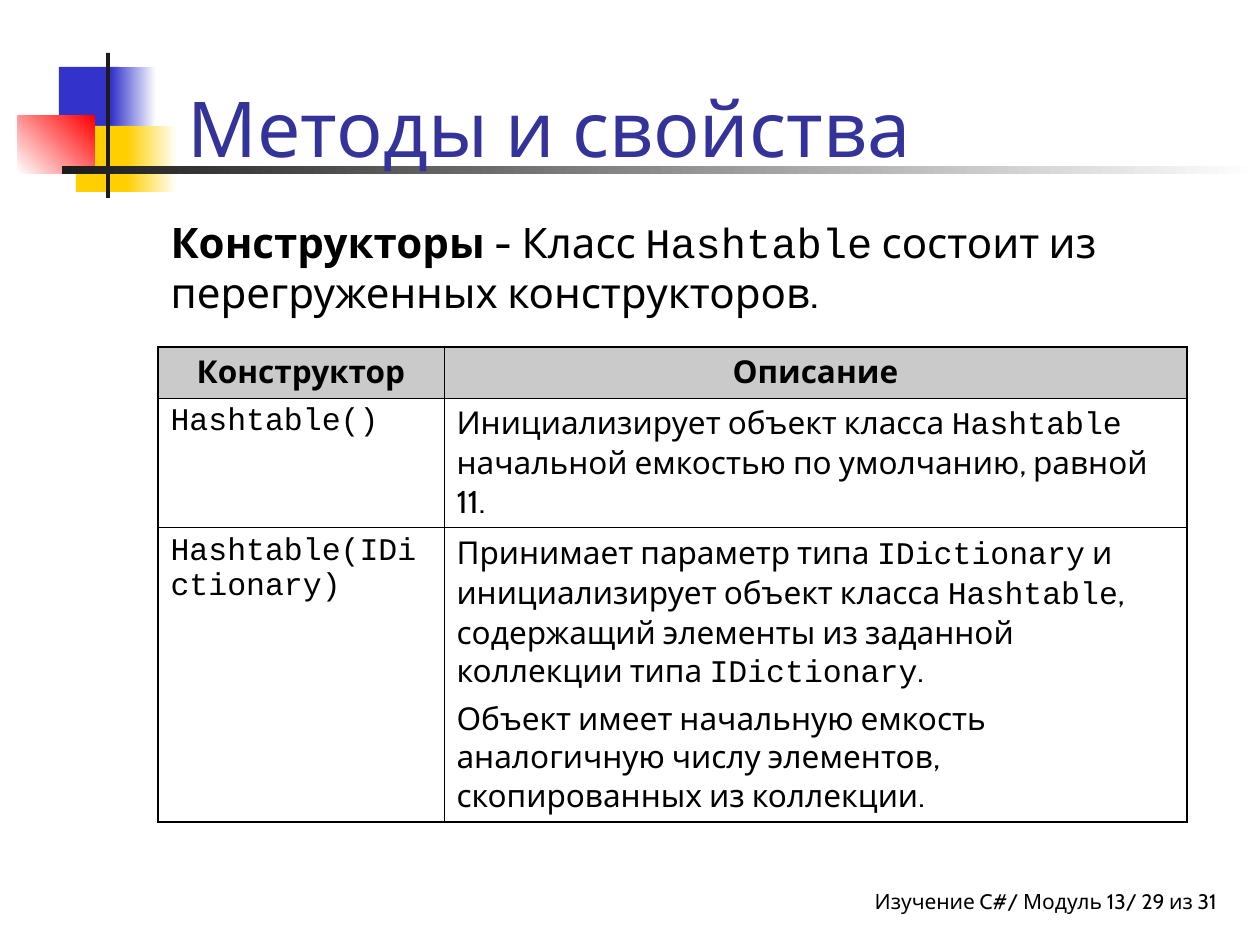
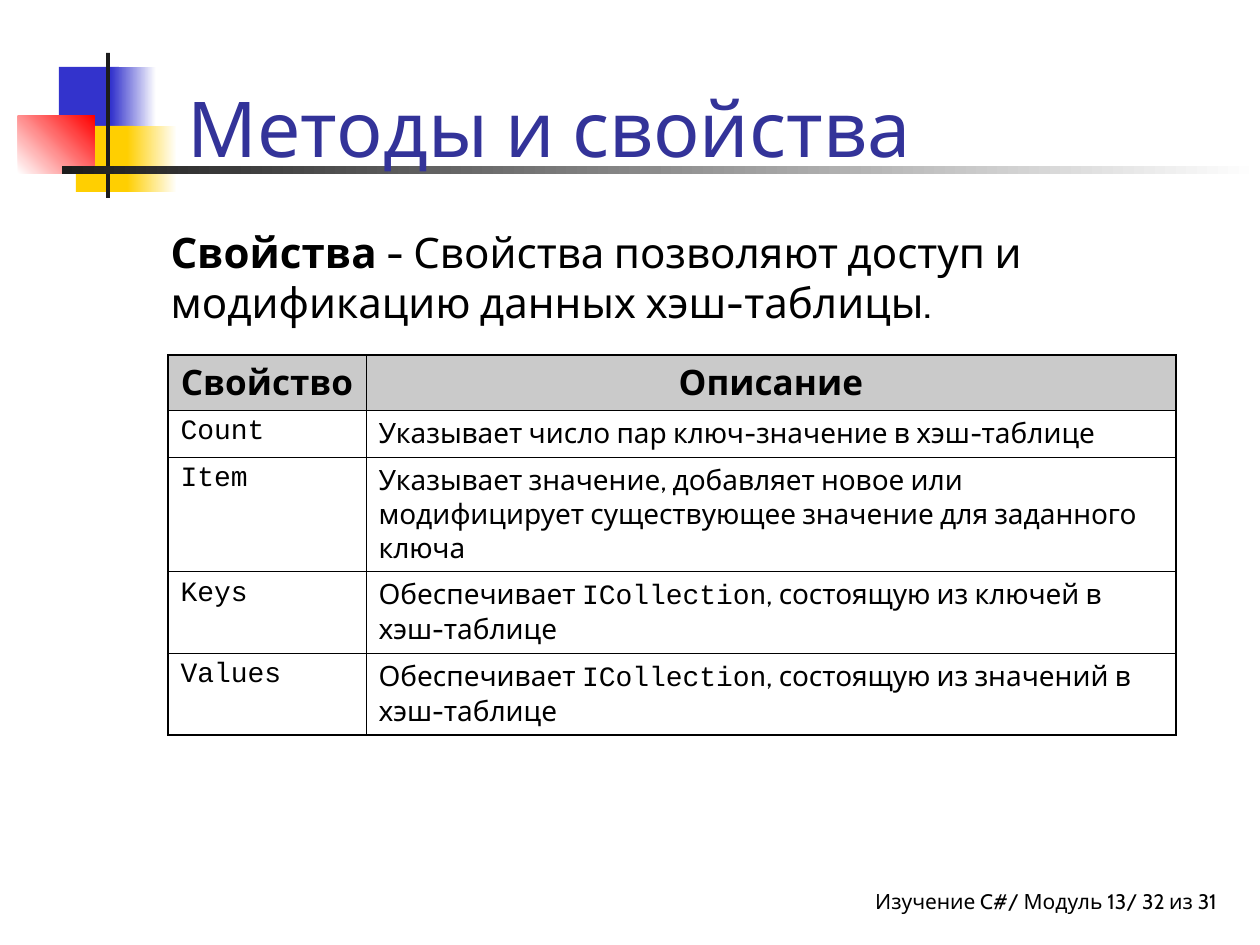
from lxml import etree
from pptx import Presentation
from pptx.dml.color import RGBColor
from pptx.enum.shapes import MSO_SHAPE
from pptx.enum.text import MSO_ANCHOR, MSO_AUTO_SIZE, PP_ALIGN
from pptx.oxml.ns import qn
from pptx.util import Pt

RECTANGLE = MSO_SHAPE.RECTANGLE
LEFT, CENTER, RIGHT = PP_ALIGN.LEFT, PP_ALIGN.CENTER, PP_ALIGN.RIGHT
BOTTOM, TOP = MSO_ANCHOR.BOTTOM, MSO_ANCHOR.TOP
NO_AUTOFIT = MSO_AUTO_SIZE.NONE

BLACK = RGBColor(0x00, 0x00, 0x00)
WHITE = RGBColor(0xFF, 0xFF, 0xFF)
CHARCOAL = RGBColor(0x1C, 0x1C, 0x1C)
BLUE = RGBColor(0x33, 0x33, 0xCC)
YELLOW = RGBColor(0xFF, 0xCF, 0x01)
RED = RGBColor(0xFF, 0x00, 0x00)
TITLE_BLUE = RGBColor(0x33, 0x33, 0x99)
HEADER_GRAY = RGBColor(0xCA, 0xCA, 0xCA)

TEXT_FONT, CODE_FONT = "Cabin", "Courier New"
PX = 914400 // 126
OUTER_BORDER, INNER_BORDER = Pt(1.08), Pt(0.45)

# Content: backticks enclose code, a line break starts a new paragraph
TITLE = "Методы и свойства"
FOOTER = "Изучение C#/ Модуль 13/ {} из 31"
SLIDES = [
    {
        "number": 29,
        "lead": "Конструкторы",
        "text": " - Класс `Hashtable` состоит из перегруженных конструкторов.",
        "body_box": (158, 210, 1071, 640),
        "table_at": (158, 347),
        "columns": (286, 743),
        "row_heights": (51, 129, 294),
        "header_size": 18,
        "cell_size": 18,
        "rows": [
            ("Конструктор", "Описание"),
            ("`Hashtable()`",
             "Инициализирует объект класса `Hashtable` начальной емкостью по умолчанию, равной 11."),
            ("`Hashtable(IDictionary)`",
             "Принимает параметр типа `IDictionary` и инициализирует объект класса `Hashtable`, "
             "содержащий элементы из заданной коллекции типа `IDictionary`.\n"
             "Объект имеет начальную емкость аналогичную числу элементов, скопированных из коллекции."),
        ],
    },
    {
        "number": 32,
        "lead": "Свойства",
        "text": " - Свойства позволяют доступ и модификацию данных хэш-таблицы.",
        "body_box": (158, 220, 1050, 640),
        "table_at": (168, 355),
        "columns": (198, 810),
        "row_heights": (55, 47, 114, 82, 82),
        "header_size": 20,
        "cell_size": 16,
        "rows": [
            ("Свойство", "Описание"),
            ("`Count`", "Указывает число пар ключ-значение в хэш-таблице"),
            ("`Item`",
             "Указывает значение, добавляет новое или модифицирует существующее значение "
             "для заданного ключа"),
            ("`Keys`", "Обеспечивает `ICollection`, состоящую из ключей в хэш-таблице"),
            ("`Values`", "Обеспечивает `ICollection`, состоящую из значений в хэш-таблице"),
        ],
    },
]

# Corner ornament: box, start colour, end colour (None is solid), angle
ORNAMENT = [
    ((59, 67, 60, 66), BLUE, None, 0),
    ((111, 67, 45, 66), BLUE, WHITE, 0),
    ((76, 126, 58, 66), YELLOW, None, 0),
    ((127, 126, 50, 66), YELLOW, WHITE, 0),
    ((18, 116, 77, 58), WHITE, RED, 45),
    ((106, 53, 4, 145), CHARCOAL, None, 0),
    ((62, 166, 1198, 8), CHARCOAL, WHITE, 0),
]
TITLE_BOX = (175, 21, 1074, 158)
FOOTER_BOX = (577, 882, 640, 42)


def scaled(lengths):
    return [length * PX for length in lengths]


def place(shape, box):
    shape.left, shape.top, shape.width, shape.height = scaled(box)


def format_paragraph(paragraph, size, color=BLACK, align=LEFT, before=0, bold=False):
    paragraph.alignment = align
    paragraph.space_before = Pt(before)
    font = paragraph.font
    font.name, font.size, font.bold = TEXT_FONT, Pt(size), bold
    font.color.rgb = color


def add_marked_text(paragraph, text):
    for index, part in enumerate(text.split("`")):
        if part:
            run = paragraph.add_run()
            run.text = part
            run.font.name = CODE_FONT if index % 2 else TEXT_FONT


def add_ornament(slide, layout):
    """Build the corner ornament and put it at the back of the layout."""
    for placeholder in list(layout.placeholders):
        if placeholder.placeholder_format.idx >= 10:
            layout.shapes.element.remove(placeholder.element)
    for position, (box, start, end, angle) in enumerate(ORNAMENT):
        shape = slide.shapes.add_shape(RECTANGLE, *scaled(box))
        shape.shadow.inherit = False
        shape.line.fill.background()
        if end is None:
            shape.fill.solid()
            shape.fill.fore_color.rgb = start
        else:
            shape.fill.gradient()
            shape.fill.gradient_angle = angle
            for stop, color in zip(shape.fill.gradient_stops, (start, end)):
                stop.color.rgb = color
        layout.shapes.element.insert(2 + position, shape.element)


def add_title(slide):
    title = slide.shapes.title
    place(title, TITLE_BOX)
    frame = title.text_frame
    frame.text = TITLE
    frame.vertical_anchor = BOTTOM
    frame.auto_size = NO_AUTOFIT
    format_paragraph(frame.paragraphs[0], 44, TITLE_BLUE)


def add_body(slide, content):
    body = slide.placeholders[1]
    place(body, content["body_box"])
    frame = body.text_frame
    frame.vertical_anchor = TOP
    frame.auto_size = NO_AUTOFIT
    paragraph = frame.paragraphs[0]
    format_paragraph(paragraph, 24, before=6)
    lead = paragraph.add_run()
    lead.text = content["lead"]
    lead.font.bold = True
    add_marked_text(paragraph, content["text"])
    # No bullet and no hanging indent
    properties = paragraph._p.get_or_add_pPr()
    properties.set("marL", "0")
    properties.set("indent", "0")
    bullet = etree.Element(qn("a:buNone"))
    properties.find(qn("a:defRPr")).addprevious(bullet)


def add_footer(slide, number):
    frame = slide.shapes.add_textbox(*scaled(FOOTER_BOX)).text_frame
    frame.word_wrap = True
    frame.margin_right = 0
    frame.text = FOOTER.format(number)
    format_paragraph(frame.paragraphs[0], 12, align=RIGHT)


def set_borders(cell, outer_sides):
    properties = cell._tc.get_or_add_tcPr()
    for position, side in enumerate("LRTB"):
        width = OUTER_BORDER if side in outer_sides else INNER_BORDER
        line = etree.Element(qn(f"a:ln{side}"), w=str(width))
        fill = etree.SubElement(line, qn("a:solidFill"))
        etree.SubElement(fill, qn("a:srgbClr"), val=str(BLACK))
        properties.insert(position, line)


def add_description_table(slide, content):
    rows, columns, heights = content["rows"], content["columns"], content["row_heights"]
    box = (*content["table_at"], sum(columns), sum(heights))
    table = slide.shapes.add_table(len(rows), len(columns), *scaled(box)).table
    table.first_row = table.horz_banding = False
    for column, width in zip(table.columns, columns):
        column.width = width * PX
    for row_index, (row, height, texts) in enumerate(zip(table.rows, heights, rows)):
        row.height = height * PX
        header = row_index == 0
        size = content["header_size" if header else "cell_size"]
        for column_index, (cell, text) in enumerate(zip(row.cells, texts)):
            if header:
                cell.fill.solid()
                cell.fill.fore_color.rgb = HEADER_GRAY
            else:
                cell.fill.background()
            outer_sides = "LR"[column_index]
            outer_sides += "T" if header else ""
            outer_sides += "B" if row_index == len(rows) - 1 else ""
            set_borders(cell, outer_sides)
            frame = cell.text_frame
            for index, line in enumerate(text.split("\n")):
                paragraph = frame.add_paragraph() if index else frame.paragraphs[0]
                format_paragraph(paragraph, size, align=CENTER if header else LEFT,
                                 before=size / 4, bold=header)
                add_marked_text(paragraph, line)


def main():
    presentation = Presentation()
    presentation.slide_width, presentation.slide_height = scaled((1260, 945))
    layout = presentation.slide_layouts[1]
    for index, content in enumerate(SLIDES):
        slide = presentation.slides.add_slide(layout)
        if index == 0:
            add_ornament(slide, layout)
        add_title(slide)
        add_body(slide, content)
        add_description_table(slide, content)
        add_footer(slide, content["number"])
    presentation.save("out.pptx")


if __name__ == "__main__":
    main()
